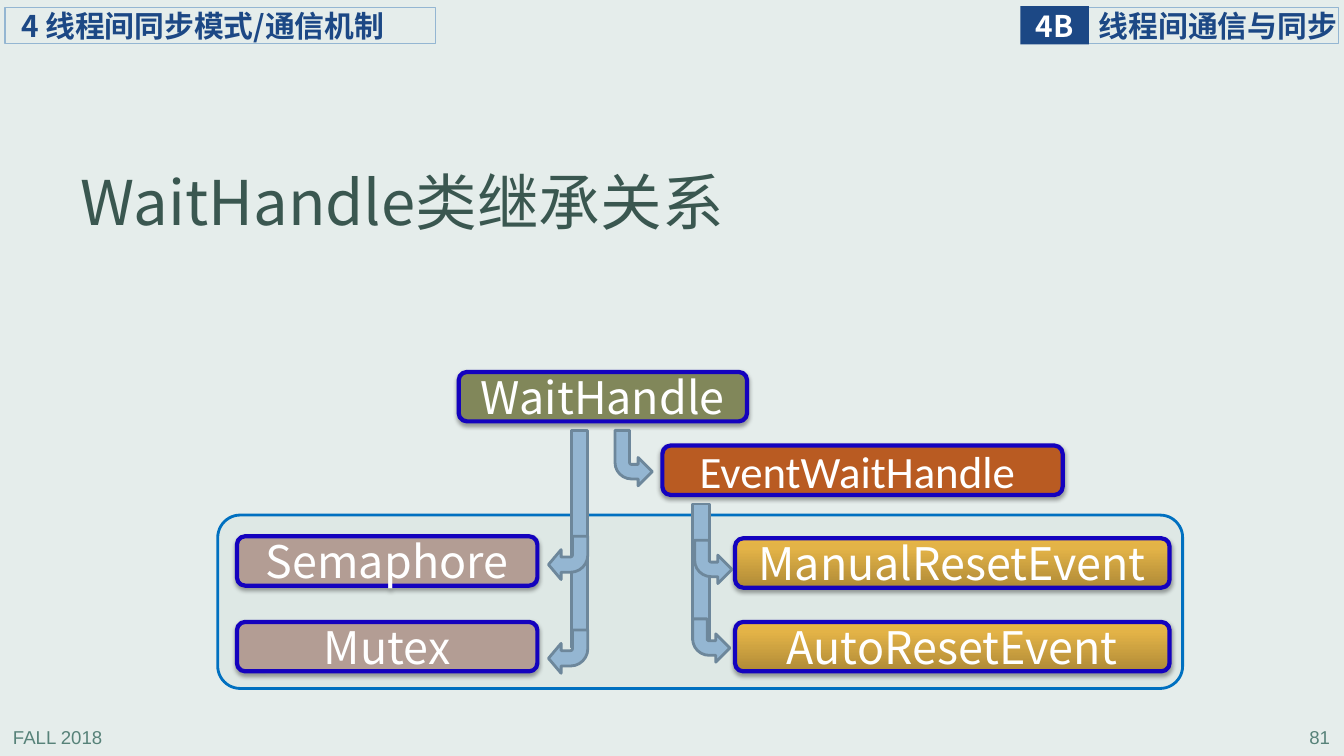
from copy import deepcopy
from dataclasses import dataclass

from lxml import etree
from pptx import Presentation
from pptx import util as u
from pptx.dml.color import RGBColor
from pptx.enum import shapes, text
from pptx.oxml import ns

# Grid: square cells, 13.33 columns by 7.5 rows
COLS, ROWS = 13.33, 7.5
CELL = u.Inches(1)

SANS, LATIN, FOOT = "Noto Sans CJK SC", "Calibri", "Arial"
BACK = RGBColor(0xE5, 0xED, 0xEB)
WHITE = RGBColor(0xFF, 0xFF, 0xFF)
NAVY = RGBColor(0x1C, 0x48, 0x85)
SKY = RGBColor(0x94, 0xB6, 0xD2)
STEEL = RGBColor(0x6D, 0x87, 0x9B)
PINE = RGBColor(0x3A, 0x57, 0x50)
SAGE = RGBColor(0x57, 0x82, 0x79)
MINT = RGBColor(0xB0, 0xCA, 0xC4)
BLUE = RGBColor(0x00, 0x70, 0xC0)
INK = RGBColor(0x14, 0x02, 0xBE)
OLIVE = RGBColor(0x81, 0x87, 0x5A)
RUST = RGBColor(0xB9, 0x5B, 0x22)
TAUPE = RGBColor(0xB3, 0x9D, 0x94)
GOLD = ((0, RGBColor(0xAF, 0x8A, 0x37)), (0.8, RGBColor(0xE3, 0xB3, 0x47)),
        (1, RGBColor(0xE7, 0xB5, 0x44)))

LEFT, MID, RIGHT = text.PP_ALIGN.LEFT, text.PP_ALIGN.CENTER, text.PP_ALIGN.RIGHT
KIND = shapes.MSO_SHAPE
BOX_H = 0.49


@dataclass
class Area:
    col: float
    row: float
    wide: float
    high: float

    def emu(self) -> list[int]:
        return [round(n * CELL) for n in (self.col, self.row, self.wide, self.high)]


@dataclass
class Style:
    size: float
    color: RGBColor
    face: str = SANS
    bold: bool = False
    align: text.PP_ALIGN = LEFT


@dataclass
class Node:
    name: str
    area: Area
    fill: RGBColor | tuple
    face: str = SANS
    pad: float = 0.1


@dataclass
class Arrow:
    area: Area
    left: bool = False


def write(shape, words: str, style: Style, pads: tuple = (0.1, 0.05, 0.1, 0.05)) -> None:
    frame = shape.text_frame
    frame.word_wrap = True
    frame.vertical_anchor = text.MSO_ANCHOR.MIDDLE
    (frame.margin_left, frame.margin_top,
     frame.margin_right, frame.margin_bottom) = [round(p * CELL) for p in pads]
    frame.text = words
    para = frame.paragraphs[0]
    para.alignment = style.align
    font = para.font
    font.size, font.bold, font.name = u.Pt(style.size), style.bold, style.face
    font.color.rgb = style.color
    props = para._p.pPr.find(ns.qn("a:defRPr"))
    etree.SubElement(props, ns.qn("a:ea"), typeface=style.face)


def draw(slide, kind: KIND, area: Area, fill: RGBColor | None,
         line: RGBColor | None, width: float = 2):
    shape = slide.shapes.add_shape(kind, *area.emu())
    shape.shadow.inherit = False
    if fill is None:
        shape.fill.background()
    else:
        shape.fill.solid()
        shape.fill.fore_color.rgb = fill
    if line is None:
        shape.line.fill.background()
    else:
        shape.line.color.rgb = line
        shape.line.width = u.Pt(width)
    return shape


def blend(shape, stops: tuple) -> None:
    fill = shape.fill
    fill.gradient()
    fill.gradient_angle = 90
    marks = shape.element.spPr.find(".//" + ns.qn("a:gsLst"))
    marks.append(deepcopy(marks[-1]))
    for mark, (place, color) in zip(fill.gradient_stops, stops):
        mark.position = place
        mark.color.rgb = color


def shade(shape) -> None:
    effects = shape.element.spPr.find(ns.qn("a:effectLst"))
    outer = etree.SubElement(effects, ns.qn("a:outerShdw"), blurRad=str(u.Pt(3.1)),
                             dist=str(u.Pt(1.8)), dir="5400000", rotWithShape="0")
    black = etree.SubElement(outer, ns.qn("a:srgbClr"), val="000000")
    etree.SubElement(black, ns.qn("a:alpha"), val="35000")


def add_node(slide, node: Node) -> None:
    solid = isinstance(node.fill, RGBColor)
    box = draw(slide, KIND.ROUNDED_RECTANGLE, node.area,
               node.fill if solid else None, INK, 3)
    if not solid:
        blend(box, node.fill)
    shade(box)
    write(box, node.name, Style(32, WHITE, node.face, align=MID),
          (0.1, 0.05, node.pad, 0.05))


def add_arrow(slide, arrow: Arrow) -> None:
    bend = draw(slide, KIND.BENT_ARROW, arrow.area, SKY, STEEL)
    head = 0.32 if arrow.left else 0.38
    for i, share in enumerate((0.39, 0.38, head, 0.44)):
        bend.adjustments[i] = share
    frame = bend.element.spPr.find(ns.qn("a:xfrm"))
    frame.set("flipV", "1")
    if arrow.left:
        frame.set("flipH", "1")


def add_heads(slide) -> None:
    label = Style(21.3, NAVY, bold=True)
    part = draw(slide, KIND.RECTANGLE, Area(10.78, 0.07, 2.5, 0.36), None, SKY, 0.75)
    write(part, "线程间通信与同步", label, (0.12, 0, 0, 0))
    tag = draw(slide, KIND.RECTANGLE, Area(10.12, 0.06, 0.68, 0.38), NAVY, None)
    write(tag, "4B", Style(21.3, WHITE, bold=True, align=MID), (0, 0, 0, 0))
    topic = draw(slide, KIND.RECTANGLE, Area(0.05, 0.07, 4.27, 0.36), None, SKY, 0.75)
    write(topic, "4 线程间同步模式/通信机制", label, (0.16, 0, 0, 0))


def add_feet(slide) -> None:
    for words, col, align in (("FALL 2018", 0.03, LEFT), ("81", 10.51, RIGHT)):
        foot = slide.shapes.add_textbox(*Area(col, 7.16, 2.78, 0.31).emu())
        write(foot, words, Style(13.3, SAGE, FOOT, align=align))


def main() -> None:
    deck = Presentation()
    deck.slide_width, deck.slide_height = round(COLS * CELL), round(ROWS * CELL)
    slide = deck.slides.add_slide(deck.slide_layouts[5])
    slide.background.fill.solid()
    slide.background.fill.fore_color.rgb = BACK

    # Title, header and footer
    title = slide.shapes.title
    title.left, title.top, title.width, title.height = Area(0.72, 1.69, 7.66, 0.7).emu()
    write(title, "WaitHandle类继承关系", Style(44, PINE), (0.08, 0.04, 0.08, 0.04))
    title.text_frame.paragraphs[0].line_spacing = 0.9
    add_heads(slide)
    add_feet(slide)

    # Frame around the leaf classes
    group = draw(slide, KIND.ROUNDED_RECTANGLE, Area(2.16, 5.11, 9.57, 1.72), MINT, BLUE)
    group.adjustments[0] = 0.13
    tint = group.element.spPr.find(ns.qn("a:solidFill"))[0]
    etree.SubElement(tint, ns.qn("a:alpha"), val="13000")

    # Classes
    for node in (
        Node("WaitHandle", Area(4.55, 3.69, 2.86, BOX_H), OLIVE),
        Node("EventWaitHandle", Area(6.57, 4.42, 3.97, BOX_H), RUST, LATIN, 0.2),
        Node("ManualResetEvent", Area(7.29, 5.34, 4.31, BOX_H), GOLD),
        Node("Semaphore", Area(2.35, 5.32, 2.98, BOX_H), TAUPE),
        Node("Mutex", Area(2.35, 6.17, 2.98, BOX_H), TAUPE),
        Node("AutoResetEvent", Area(7.29, 6.17, 4.31, BOX_H), GOLD),
    ):
        add_node(slide, node)

    # Stems, then the arrows that branch from them
    for stem in (Area(5.67, 4.27, 0.16, 2.15), Area(6.87, 5, 0.17, 1.35)):
        draw(slide, KIND.RECTANGLE, stem, SKY, STEEL)
    for arrow in (
        Arrow(Area(5.44, 6.25, 0.39, 0.43), left=True),
        Arrow(Area(6.1, 4.27, 0.37, 0.55)),
        Arrow(Area(6.89, 5.36, 0.37, 0.43)),
        Arrow(Area(6.87, 6.14, 0.37, 0.43)),
        Arrow(Area(5.44, 5.32, 0.39, 0.43), left=True),
    ):
        add_arrow(slide, arrow)

    deck.save("out.pptx")


if __name__ == "__main__":
    main()
